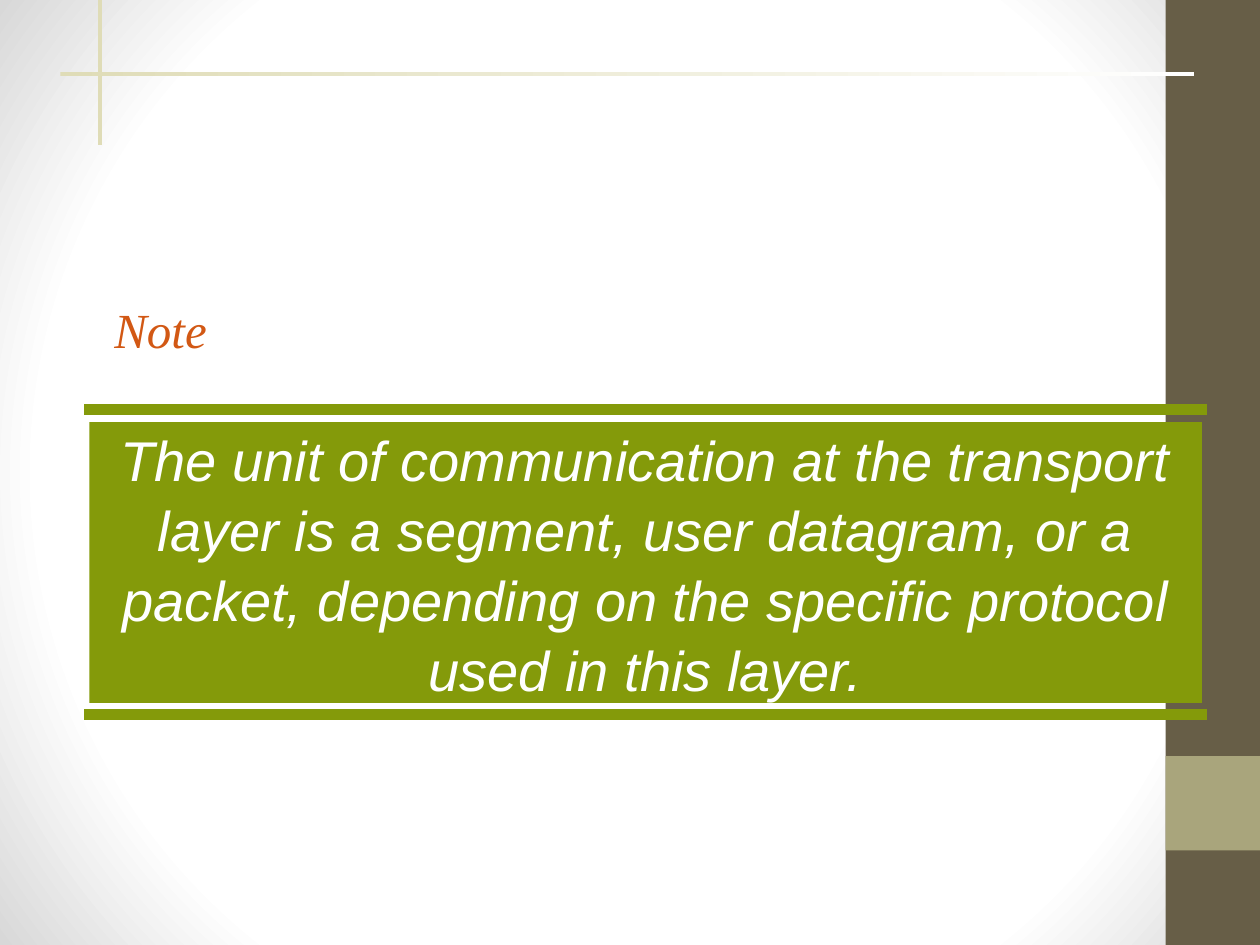
from lxml import etree
from pptx import Presentation
from pptx.dml.color import RGBColor
from pptx.enum.shapes import MSO_CONNECTOR, MSO_SHAPE
from pptx.enum.text import MSO_ANCHOR, PP_ALIGN
from pptx.oxml import parse_xml
from pptx.oxml.ns import qn
from pptx.util import Inches, Pt

RECTANGLE = MSO_SHAPE.RECTANGLE
STRAIGHT = MSO_CONNECTOR.STRAIGHT
MIDDLE = MSO_ANCHOR.MIDDLE
CENTER = PP_ALIGN.CENTER

BROWN, KHAKI, CREAM = "675E47", "A9A57C", "DFDCB7"
GREEN, ORANGE, WHITE, GRAY = "849A0A", "D25814", "FFFFFF", "D8D8D8"
DRAWING_NS = "http://schemas.openxmlformats.org/drawingml/2006/main"


def rgb(hex_color):
    return RGBColor.from_string(hex_color)


def add_block(slide, left, top, width, height, color):
    block = slide.shapes.add_shape(
        RECTANGLE, Inches(left), Inches(top), Inches(width), Inches(height)
    )
    block.shadow.inherit = False
    block.fill.solid()
    block.fill.fore_color.rgb = rgb(color)
    block.line.fill.background()
    return block


def add_rule(slide, left, right, y):
    rule = slide.shapes.add_connector(
        STRAIGHT, Inches(left), Inches(y), Inches(right), Inches(y)
    )
    rule.line.color.rgb = rgb(GREEN)
    rule.line.width = Pt(6)
    etree.SubElement(rule._element.spPr, qn("a:effectLst"))


def write_text(shape, text, font_name, size, color):
    paragraph = shape.text_frame.paragraphs[0]
    paragraph.text = text
    font = paragraph.font
    font.name = font_name
    font.size = Pt(size)
    font.italic = True
    font.color.rgb = rgb(color)
    return paragraph


def paint_background(slide):
    slide.background.fill.solid()
    stops = "".join(
        f'<a:gs pos="{percent * 1000}"><a:srgbClr val="{color}"/></a:gs>'
        for percent, color in ((0, WHITE), (75, WHITE), (100, GRAY))
    )
    gradient = parse_xml(
        f'<a:gradFill xmlns:a="{DRAWING_NS}" rotWithShape="1">'
        f"<a:gsLst>{stops}</a:gsLst>"
        '<a:path path="circle">'
        '<a:fillToRect l="50000" t="50000" r="50000" b="50000"/>'
        "</a:path></a:gradFill>"
    )
    properties = slide.element.find(".//" + qn("p:bgPr"))
    properties.replace(properties.find(qn("a:solidFill")), gradient)


def add_sidebar(slide, left, top, width, height):
    add_block(slide, left, top, width, height, BROWN)
    add_block(slide, left, top + 0.8 * height, width, width, KHAKI)


def add_crossed_bars(slide, left, top, width, height):
    thickness = 0.03
    add_block(slide, left + 0.3, top, thickness, height, CREAM)
    bar = add_block(slide, left, top + height / 2, width, thickness, CREAM)
    bar.fill.gradient()
    bar.fill.gradient_angle = 0
    for stop, color in zip(bar.fill.gradient_stops, (CREAM, WHITE)):
        stop.color.rgb = rgb(color)


def add_note_heading(slide, left, top, width, height):
    heading = slide.shapes.add_textbox(
        Inches(left), Inches(top), Inches(width), Inches(height)
    )
    write_text(heading, "Note", "Times New Roman", 28, ORANGE)


def add_statement(slide, left, top, width, height):
    for y in (top, top + height):
        add_rule(slide, left, left + width, y)
    panel = add_block(slide, left + 0.04, top + 0.1, width - 0.08, height - 0.19, GREEN)
    panel.text_frame.word_wrap = True
    panel.text_frame.vertical_anchor = MIDDLE
    statement = write_text(
        panel,
        "The unit of communication at the transport layer is a segment, "
        "user datagram, or a packet, depending on the specific protocol "
        "used in this layer.",
        "Arial",
        32,
        WHITE,
    )
    statement.alignment = CENTER
    statement.line_spacing = 1.04


def main():
    presentation = Presentation()
    presentation.slide_width = Inches(10)
    presentation.slide_height = Inches(7.5)
    slide = presentation.slides.add_slide(presentation.slide_layouts[6])
    paint_background(slide)
    add_sidebar(slide, 9.25, 0, 0.75, 7.5)
    add_crossed_bars(slide, 0.48, 0, 9, 1.15)
    add_statement(slide, 0.67, 3.25, 8.91, 2.42)
    add_note_heading(slide, 0.81, 2.33, 0.96, 0.57)
    presentation.save("out.pptx")


if __name__ == "__main__":
    main()
